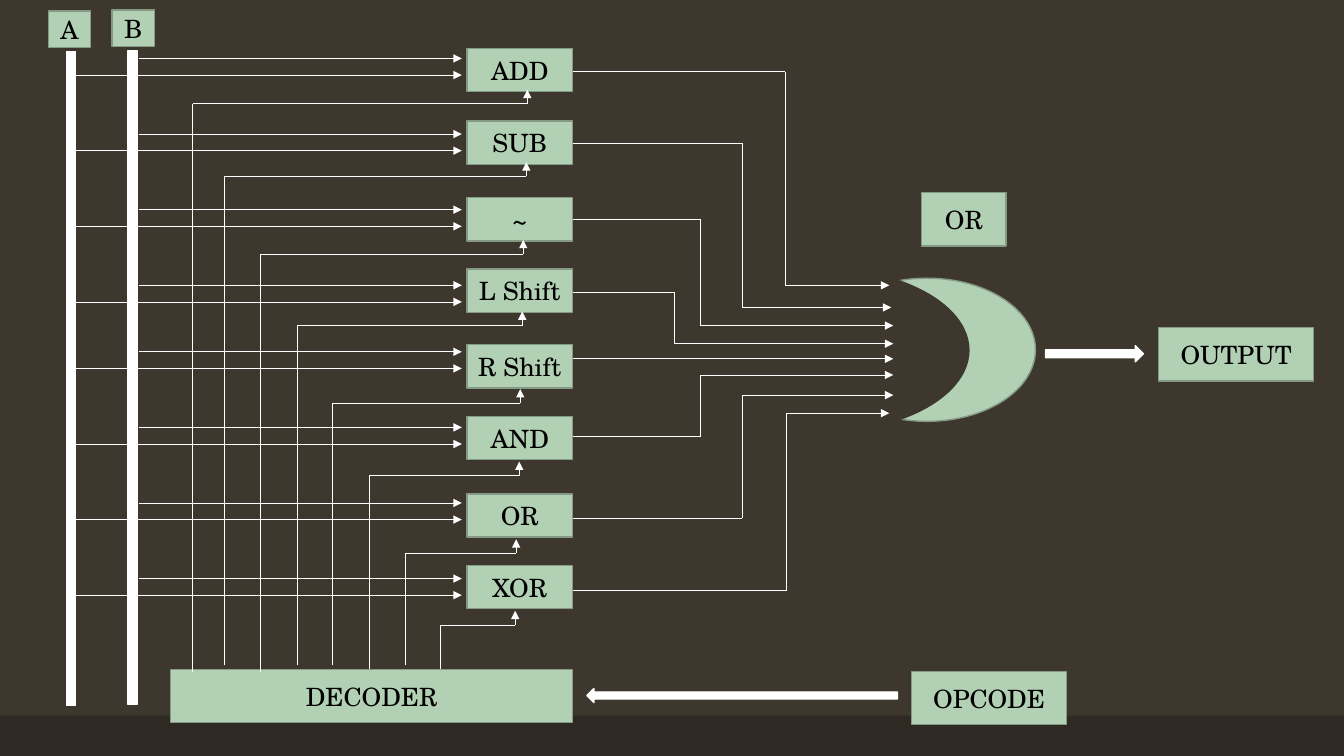
from typing import NamedTuple

from lxml import etree
from pptx import Presentation
from pptx.dml.color import RGBColor
from pptx.enum.shapes import MSO_CONNECTOR as Connector, MSO_SHAPE as Shape
from pptx.enum.text import MSO_ANCHOR as Anchor, PP_ALIGN as Align
from pptx.oxml.ns import qn
from pptx.util import Inches, Pt

BACKGROUND = RGBColor(0x3D, 0x37, 0x2E)
FLOOR = RGBColor(0x2E, 0x29, 0x23)
GREEN = RGBColor(0xB2, 0xD0, 0xB4)
GREEN_EDGE = RGBColor(0x84, 0x9A, 0x85)
WHITE = RGBColor(0xFF, 0xFF, 0xFF)
BLACK = RGBColor(0, 0, 0)
FONT = "TeX Gyre Schola"

BOX_LEFT, BOX_WIDTH, BOX_HEIGHT = 4.63, 1.05, 0.43
BUS_A, BUS_B = 0.69, 1.38
OPERAND_END = 4.58
OPERAND_GAP = 0.165
SELECT_RISE = 0.14


class Operation(NamedTuple):
    name: str
    top: float
    operand_y: float
    select_x: float
    select_start: float
    select_y: float
    select_tip_x: float
    result_y: float
    turn_x: float
    gate_y: float
    gate_x: float


class Label(NamedTuple):
    text: str
    left: float
    top: float
    width: float
    height: float


OPERATIONS = [
    Operation("ADD", 0.48, 0.58, 1.91, 6.67, 1.03, 5.23, 0.71, 7.79, 2.83, 8.82),
    Operation("SUB", 1.2, 1.33, 2.23, 6.6, 1.75, 5.22, 1.42, 7.36, 3.05, 8.84),
    Operation("~", 1.96, 2.08, 2.58, 6.67, 2.52, 5.19, 2.18, 6.95, 3.23, 8.86),
    Operation("L Shift", 2.67, 2.83, 2.95, 6.6, 3.23, 5.18, 2.9, 6.69, 3.41, 8.86),
    Operation("R Shift", 3.42, 3.49, 3.3, 6.6, 4, 5.16, 3.56, 6.91, 3.56, 8.86),
    Operation("AND", 4.13, 4.24, 3.66, 6.64, 4.72, 5.15, 4.33, 6.95, 3.72, 8.86),
    Operation("OR", 4.9, 4.99, 4.02, 6.6, 5.49, 5.12, 5.14, 7.36, 3.92, 8.86),
    Operation("XOR", 5.61, 5.74, 4.37, 6.64, 6.2, 5.11, 5.86, 7.8, 4.1, 8.82),
]
LABELS = [
    Label("DECODER", 1.69, 6.64, 3.99, 0.53),
    Label("OPCODE", 9.04, 6.66, 1.54, 0.53),
    Label("OUTPUT", 11.49, 3.25, 1.54, 0.53),
    Label("A", 0.48, 0.11, 0.42, 0.36),
    Label("B", 1.11, 0.1, 0.42, 0.36),
    Label("OR", 9.14, 1.91, 0.84, 0.53),
]


def add_figure(slide, kind, left: float, top: float, width: float, height: float,
               fill: RGBColor, edge: RGBColor):
    figure = slide.shapes.add_shape(
        kind, Inches(left), Inches(top), Inches(width), Inches(height))
    figure.shadow.inherit = False
    figure.fill.solid()
    figure.fill.fore_color.rgb = fill
    figure.line.color.rgb = edge
    figure.line.width = Pt(1)
    return figure


def write(figure, text: str, *, size: float = 18, color: RGBColor = BLACK,
          align=Align.CENTER, anchor=Anchor.MIDDLE) -> None:
    frame = figure.text_frame
    frame.word_wrap = True
    frame.vertical_anchor = anchor
    frame.margin_left = frame.margin_right = Inches(0.05)
    paragraph = frame.paragraphs[0]
    paragraph.alignment = align
    run = paragraph.add_run()
    run.text = text
    run.font.name = FONT
    run.font.size = Pt(size)
    run.font.color.rgb = color


def add_label(slide, label: Label) -> None:
    box = add_figure(slide, Shape.RECTANGLE, label.left, label.top,
                     label.width, label.height, GREEN, GREEN_EDGE)
    write(box, label.text)


def add_wire(slide, *points: tuple[float, float]) -> None:
    """Join the points by straight lines, with an arrowhead at the last point."""
    for start, end in zip(points, points[1:]):
        wire = slide.shapes.add_connector(
            Connector.STRAIGHT, *(Inches(length) for length in start + end))
        wire.line.color.rgb = WHITE
        wire.line.width = Pt(0.5)
        if end == points[-1]:
            etree.SubElement(wire.line._get_or_add_ln(), qn("a:tailEnd"), type="triangle")
        etree.SubElement(wire._element.spPr, qn("a:effectLst"))


def add_operation(slide, op: Operation) -> None:
    add_label(slide, Label(op.name, BOX_LEFT, op.top, BOX_WIDTH, BOX_HEIGHT))

    add_wire(slide, (BUS_B, op.operand_y), (OPERAND_END, op.operand_y))
    operand_a_y = op.operand_y + OPERAND_GAP
    add_wire(slide, (BUS_A, operand_a_y), (OPERAND_END, operand_a_y))

    add_wire(slide, (op.select_x, op.select_start), (op.select_x, op.select_y),
             (op.select_tip_x, op.select_y),
             (op.select_tip_x, op.select_y - SELECT_RISE))

    result, gate = (BOX_LEFT + BOX_WIDTH, op.result_y), (op.gate_x, op.gate_y)
    if op.result_y == op.gate_y:
        add_wire(slide, result, gate)
    else:
        add_wire(slide, result, (op.turn_x, op.result_y), (op.turn_x, op.gate_y), gate)


def main() -> None:
    deck = Presentation()
    deck.slide_width, deck.slide_height = Inches(13.33), Inches(7.5)
    slide = deck.slides.add_slide(deck.slide_layouts[6])
    slide.background.fill.solid()
    slide.background.fill.fore_color.rgb = BACKGROUND

    floor = add_figure(slide, Shape.RECTANGLE, 0, 7.1, 13.33, 0.4, FLOOR, FLOOR)
    floor.line.fill.background()

    # The second ellipse cuts the hollow back of the OR gate.
    add_figure(slide, Shape.OVAL, 8.12, 2.76, 2.15, 1.42, GREEN, GREEN_EDGE)
    add_figure(slide, Shape.OVAL, 6.63, 2.66, 2.98, 1.63, BACKGROUND, BACKGROUND)

    for label in LABELS:
        add_label(slide, label)
    for op in OPERATIONS:
        add_operation(slide, op)

    for left, top in ((0.66, 0.51), (1.27, 0.5)):
        add_figure(slide, Shape.RECTANGLE, left, top, 0.09, 6.49, WHITE, WHITE)
    add_figure(slide, Shape.RIGHT_ARROW, 10.37, 3.43, 0.97, 0.16, WHITE, WHITE)
    add_figure(slide, Shape.LEFT_ARROW, 5.82, 6.83, 3.08, 0.14, WHITE, WHITE)

    deck.save("out.pptx")


if __name__ == "__main__":
    main()
